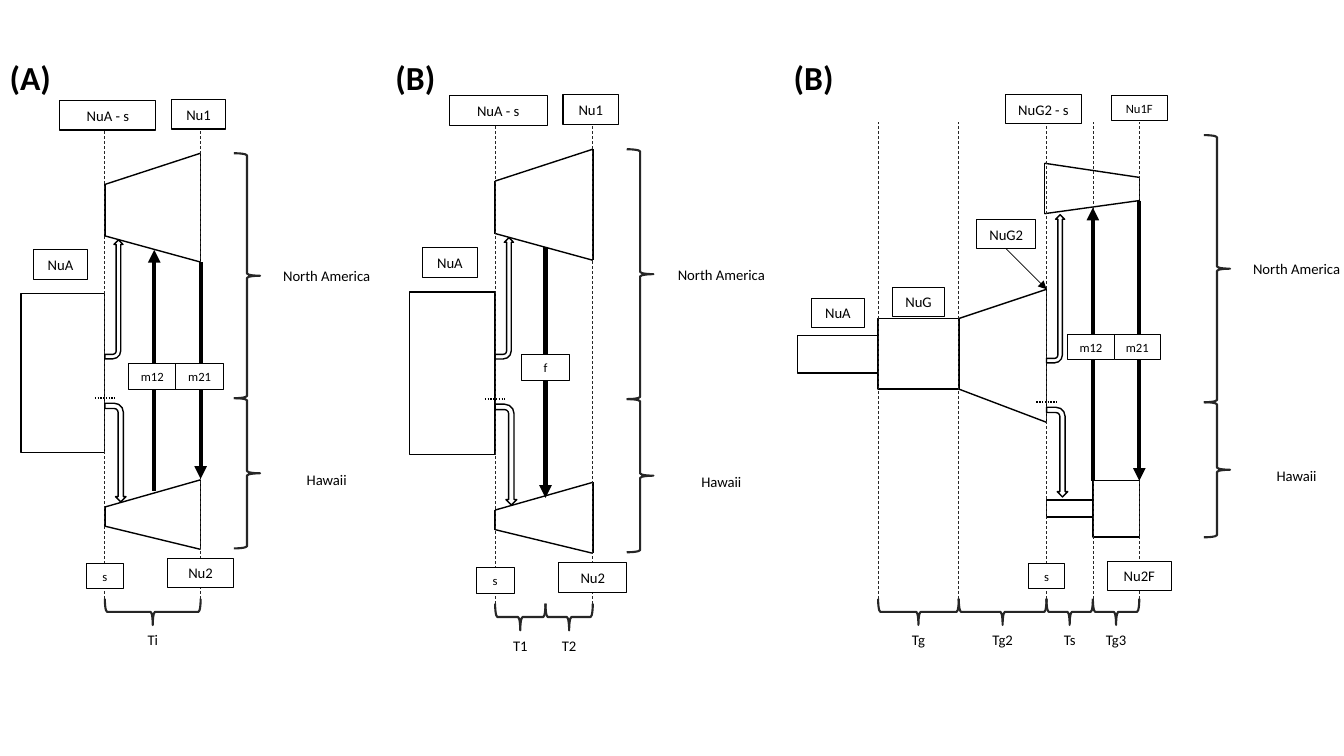
from dataclasses import dataclass, field
from itertools import pairwise
from typing import Any, NamedTuple

from lxml import etree
from pptx import Presentation
from pptx import util as u
from pptx.dml.color import RGBColor
from pptx.enum import dml, shapes, text
from pptx.oxml.ns import qn

SCALE = 9144
FONT = "Calibri"
HUES = {"ink": "000000", "soft": "262626", "paper": "FFFFFF"}
DASH = dml.MSO_LINE.DASH
DOT = dml.MSO_LINE.ROUND_DOT
KIND = shapes.MSO_SHAPE
BODY, SMALL = 10.5, 9
TALL = {BODY: 29, SMALL: 25}
FOOT, PEAK, DEPTH = 594, 121, 26


class Box(NamedTuple):
    x: float
    y: float
    w: float
    h: float


class Line(NamedTuple):
    x1: float
    y1: float
    x2: float
    y2: float


class Wall(NamedTuple):
    x: int
    top: int
    foot: int


class Tag(NamedTuple):
    word: str
    mid: float
    y: int
    w: int
    size: float = BODY


@dataclass
class Panel:
    name: str
    left: int
    split: int
    levels: list[int]
    fall: int
    rise: int
    edge: int
    times: list[str]
    stops: list[int]
    guides: list[int]
    blocks: list[Box]
    traps: list[tuple[Wall, Wall]]
    arrows: list[Line]
    tags: list[Tag]
    pointers: list[Line] = field(default_factory=list)
    zoom: float = 1
    dx: int = 0
    dy: int = 0


@dataclass
class Pane:
    pool: Any
    zoom: float = 1
    dx: int = 0
    dy: int = 0

    def fit(self, x: float, y: float, w: float, h: float) -> list[u.Emu]:
        spots = x * self.zoom + self.dx, y * self.zoom + self.dy
        return px(*spots, w * self.zoom, h * self.zoom)


def px(*sizes: float) -> list[u.Emu]:
    return [u.Emu(round(size * SCALE)) for size in sizes]


def hue(key: str) -> RGBColor:
    return RGBColor.from_string(HUES[key])


def write(shape: Any, word: str, size: float, bold: bool = False) -> None:
    frame = shape.text_frame
    frame.text = word
    frame.word_wrap = True
    frame.vertical_anchor = text.MSO_ANCHOR.MIDDLE
    frame.margin_left = frame.margin_right = 0
    frame.margin_top = frame.margin_bottom = 0
    line = frame.paragraphs[0]
    line.alignment = text.PP_ALIGN.CENTER
    font = line.runs[0].font
    font.name, font.size, font.bold = FONT, u.Pt(size), bold
    font.color.rgb = hue("ink")


def note(pane: Pane, word: str, box: Box, size: float = BODY,
         bold: bool = False) -> None:
    write(pane.pool.add_textbox(*pane.fit(*box)), word, size, bold)


def draw(pane: Pane, kind: Any, box: Box, width: float, turn: int = 0,
         key: str = "ink") -> Any:
    x, y, w, h = box
    if turn % 180:
        x, y, w, h = x + (w - h) / 2, y + (h - w) / 2, h, w
    shape = pane.pool.add_shape(kind, *pane.fit(x, y, w, h))
    shape.rotation = turn
    shape.shadow.inherit = False
    shape.fill.background()
    shape.line.color.rgb = hue(key)
    shape.line.width = u.Pt(width)
    return shape


def plate(pane: Pane, box: Box, width: float) -> Any:
    shape = draw(pane, KIND.RECTANGLE, box, width)
    shape.fill.solid()
    shape.fill.fore_color.rgb = hue("paper")
    return shape


def link(pane: Pane, line: Line, width: float, key: str = "ink",
         dash: Any = None, head: bool = False) -> None:
    x, y, w, h = pane.fit(line.x1, line.y1, line.x2 - line.x1, line.y2 - line.y1)
    wire = pane.pool.add_connector(shapes.MSO_CONNECTOR.STRAIGHT, x, y, x + w, y + h)
    wire.line.color.rgb = hue(key)
    wire.line.width = u.Pt(width)
    if dash:
        wire.line.dash_style = dash
    props = wire.element.spPr
    if head:
        etree.SubElement(props.find(qn("a:ln")), qn("a:tailEnd"), type="triangle")
    etree.SubElement(props, qn("a:effectLst"))


def brace(pane: Pane, box: Box, turn: int) -> None:
    draw(pane, KIND.LEFT_BRACE, box, 1.5, turn, "soft")


def build(pane: Pane, plan: Panel) -> None:
    for box in plan.blocks:
        plate(pane, box, 1)
    for near, far in plan.traps:
        for wall in (near, far):
            link(pane, Line(wall.x, wall.top, wall.x, wall.foot), 1)
        link(pane, Line(near.x, near.top, far.x, far.top), 1)
        link(pane, Line(near.x, near.foot, far.x, far.foot), 1)
    for x in plan.guides:
        link(pane, Line(x, FOOT, x, PEAK), 0.5, "soft", DASH)
    x, y = plan.split, plan.levels[1]
    link(pane, Line(x - 10, y, x + 10, y), 1, dash=DOT)
    draw(pane, KIND.BENT_ARROW, Box(x, y + 5, 21, plan.fall), 1, 90)
    rise = draw(pane, KIND.BENT_ARROW, Box(x, y - 39 - plan.rise, 18, plan.rise), 1, 90)
    rise.element.spPr.xfrm.set("flipH", "1")
    for arrow in plan.arrows:
        link(pane, arrow, 3, head=True)
    for word, mid, y, w, size in plan.tags:
        write(plate(pane, Box(mid - w / 2, y, w, TALL[size]), 0.75), word, size)
    for line in plan.pointers:
        link(pane, line, 0.5, head=True)
    for word, (x, end) in zip(plan.times, pairwise(plan.stops)):
        brace(pane, Box(x, FOOT, end - x, DEPTH), 270)
        note(pane, word, Box(x, FOOT + DEPTH, end - x, TALL[BODY]))
    lands = ("North America", 0), ("Hawaii", 6)
    for (word, drop), (y, end) in zip(lands, pairwise(plan.levels)):
        brace(pane, Box(plan.edge, y, DEPTH, end - y), 180)
        top = (y + end - TALL[BODY]) / 2 + drop
        note(pane, word, Box(plan.edge + 46, top, 92, TALL[BODY]))


def pair(name: str, left: int, times: list[str], stops: list[int],
         arrows: list[Line], tags: list[Tag], **place: float) -> Panel:
    near, far = stops[0], stops[-1]
    return Panel(
        name, left, near, [152, 395, 544], 98, 118, 232, times, stops, [near, far],
        [Box(21, 291, 83, 158)],
        [(Wall(near, 183, 234), Wall(far, 152, 260)),
         (Wall(near, 503, 522), Wall(far, 476, 545))],
        arrows,
        [Tag("NuA", 60, 248, 54), Tag("NuA - s", 107, 100, 95),
         Tag("Nu1", far - 2, 99, 54), Tag("s", near, 559, 37, SMALL),
         Tag("Nu2", far, 554, 66), *tags], **place)


def last() -> Panel:
    stops = [871, 951, 1038, 1084, 1130]
    grow, swell, part, late, end = stops
    return Panel(
        "(B)", 777, part, [134, 399, 533], 89, 147, 1194,
        ["Tg", "Tg2", "Ts", "Tg3"], stops, stops,
        [Box(grow - 80, 333, 80, 37), Box(grow, 316, 80, 70),
         Box(part, 496, 46, 17), Box(late, 477, 46, 56)],
        [(Wall(part - 2, 162, 212), Wall(end, 176, 199)),
         (Wall(swell, 316, 386), Wall(part, 287, 419))],
        [Line(end, 199, end, 477), Line(late, 477, late, 206)],
        [Tag("NuA", grow - 40, 296, 52), Tag("NuG", grow + 40, 285, 52),
         Tag("NuG2", 998, 218, 59), Tag("NuG2 - s", part - 3, 94, 76),
         Tag("Nu1F", end, 95, 56, SMALL), Tag("s", part, 559, 36, SMALL),
         Tag("Nu2F", end, 557, 64), Tag("m12", late - 2, 332, 46, SMALL),
         Tag("m21", end - 2, 332, 46, SMALL)],
        [Line(998, 247, part, 287)])


def main() -> None:
    deck = Presentation()
    deck.slide_width, deck.slide_height = px(1333, 750)
    slide = deck.slides.add_slide(deck.slide_layouts[6])
    near, mid, far = 104, 153, 199
    plans = [
        pair("(A)", 0, ["Ti"], [near, far],
             [Line(far, 260, far, 475), Line(mid, 487, mid, 248)],
             [Tag("m12", mid - 2, 361, 47, SMALL), Tag("m21", far - 1, 361, 47, SMALL)]),
        pair("(B)", 382, ["T1", "T2"], [near, mid, far],
             [Line(mid, 247, mid, 491)], [Tag("f", mid, 352, 47, SMALL)],
             zoom=1.02, dx=385, dy=-7),
        last(),
    ]
    for plan in plans:
        pool = slide.shapes.add_group_shape().shapes
        build(Pane(pool, plan.zoom, plan.dx, plan.dy), plan)
        note(Pane(slide.shapes), plan.name, Box(plan.left, 51, 60, 50), 24, True)
    deck.save("out.pptx")


if __name__ == "__main__":
    main()
